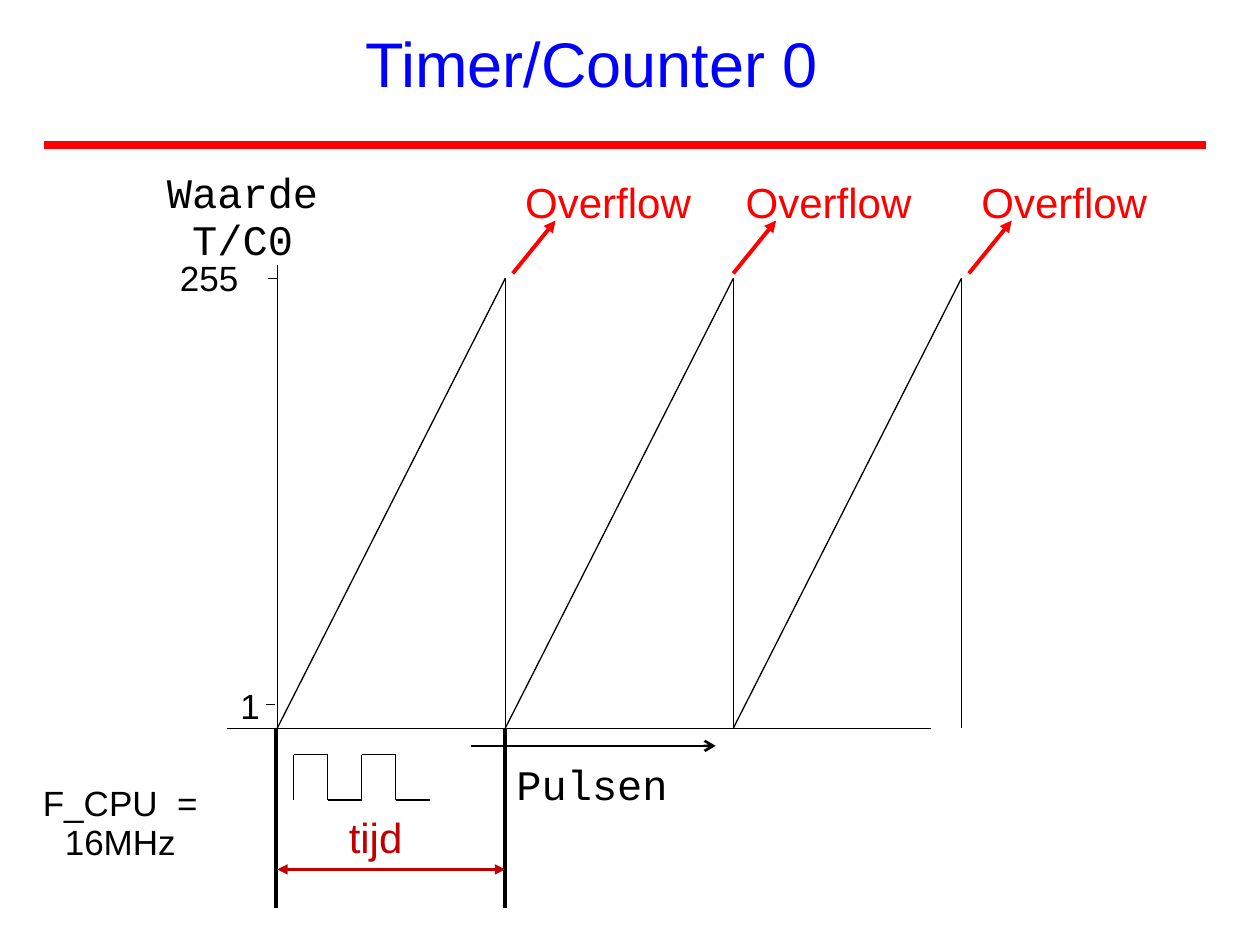
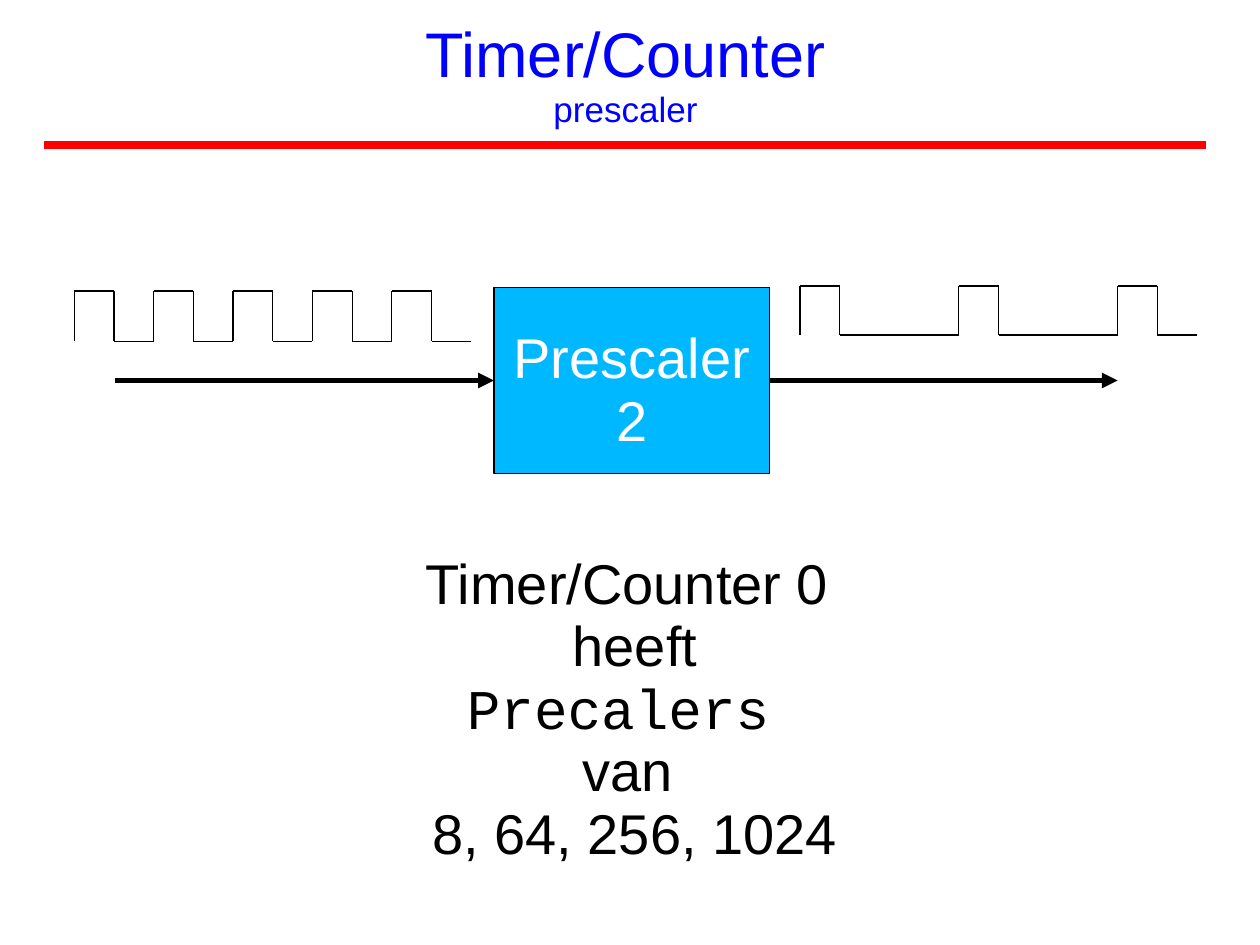
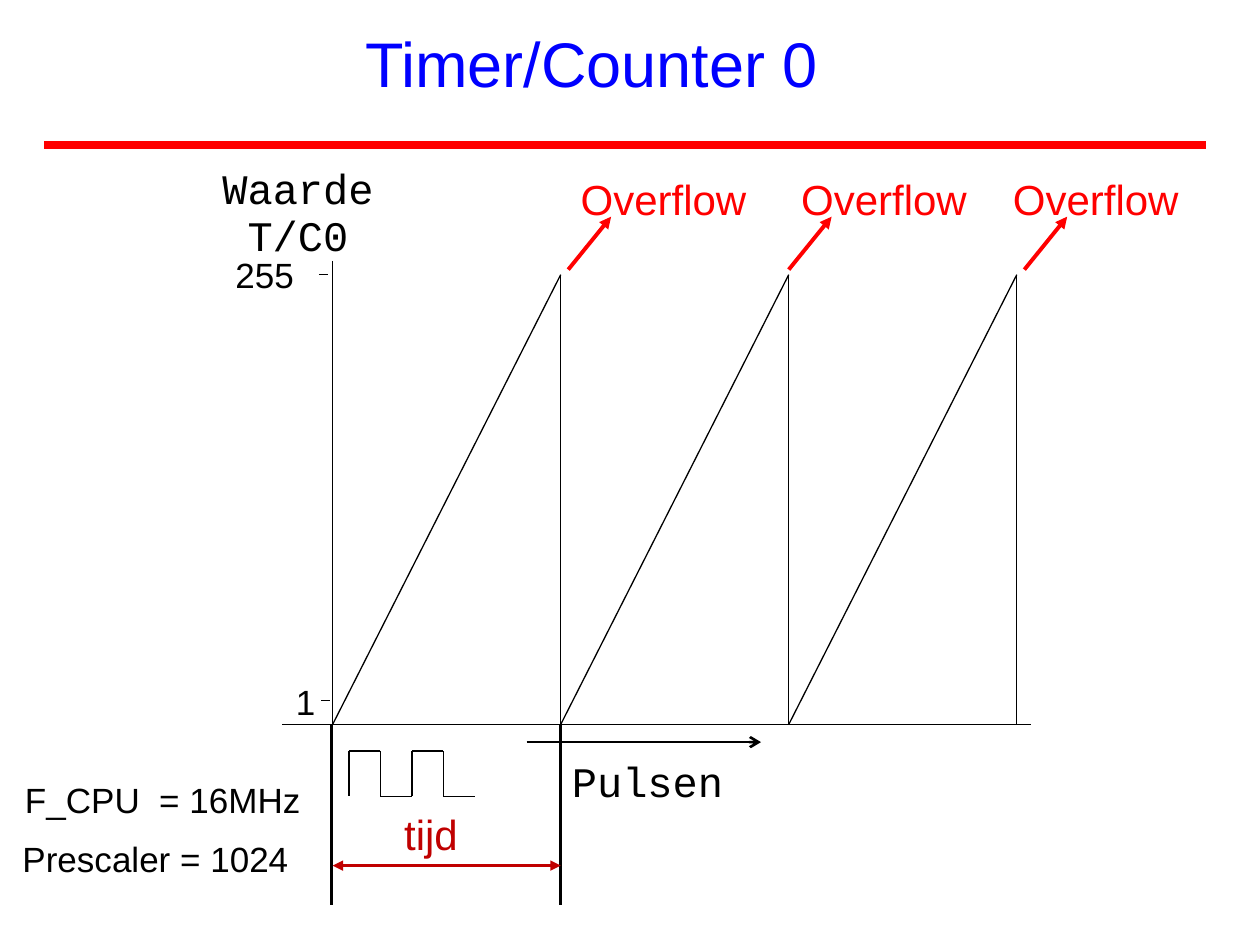
from dataclasses import dataclass

from lxml import etree
from pptx import Presentation
from pptx.dml.color import RGBColor
from pptx.enum.shapes import MSO_CONNECTOR, MSO_SHAPE
from pptx.enum.text import MSO_ANCHOR, MSO_AUTO_SIZE, PP_ALIGN
from pptx.oxml.ns import qn
from pptx.util import Inches, Pt

STRAIGHT = MSO_CONNECTOR.STRAIGHT
RECTANGLE = MSO_SHAPE.RECTANGLE
TOP = MSO_ANCHOR.TOP
NO_FIT, GROW = MSO_AUTO_SIZE.NONE, MSO_AUTO_SIZE.SHAPE_TO_FIT_TEXT
LEFT, CENTER = PP_ALIGN.LEFT, PP_ALIGN.CENTER

COLORS = {
    "text": "000000",
    "title": "0000FF",
    "accent": "FF0000",
    "time": "C00000",
    "block": "00B8FF",
    "light": "FFFFFF",
}
SANS, MONO = "Arial", "Courier New"
TITLE_ONLY = 5
LINE_SPACING = 0.93
PERIOD, RISE = 1.81, 3.57


@dataclass
class SawtoothLayout:
    """The measures in which the sawtooth diagrams differ."""

    left: float
    base: float
    axis_end: float
    tick_start: float
    pulse_width: float
    arrow_end: float
    last_overflow: float


def color(name):
    """Return the named colour."""
    return RGBColor.from_string(COLORS[name])


def add_line(slide, start, end, width=0.75, color_name="text", head=None, tail=None):
    """Draw a straight line with optional arrowheads."""
    points = [Inches(value) for value in (*start, *end)]
    connector = slide.shapes.add_connector(STRAIGHT, *points)
    connector.line.color.rgb = color(color_name)
    connector.line.width = Pt(width)
    outline = connector.line._get_or_add_ln()
    for tag, kind in (("a:headEnd", head), ("a:tailEnd", tail)):
        if kind:
            etree.SubElement(outline, qn(tag), type=kind)
    etree.SubElement(connector._element.spPr, qn("a:effectLst"))


def format_text(text_frame, size, color_name="text", font=SANS, align=LEFT):
    """Apply one style to all the text in a frame."""
    text_frame.word_wrap = True
    text_frame.vertical_anchor = TOP
    for paragraph in text_frame.paragraphs:
        paragraph.alignment = align
        paragraph.line_spacing = LINE_SPACING
        for run in paragraph.runs:
            run.font.size = Pt(size)
            run.font.name = font
            run.font.color.rgb = color(color_name)


def add_text(slide, text, box, size, color_name="text", font=SANS, align=LEFT):
    """Add a text box at left, top, width, height."""
    shape = slide.shapes.add_textbox(*[Inches(value) for value in box])
    text_frame = shape.text_frame
    text_frame.text = text
    format_text(text_frame, size, color_name, font, align)
    text_frame.auto_size = GROW
    return text_frame


def add_titled_slide(presentation, title, top=0.21, height=0.75, align=LEFT):
    """Add a slide with the blue title and the red rule."""
    slide = presentation.slides.add_slide(presentation.slide_layouts[TITLE_ONLY])
    add_line(slide, (0.35, 1.15), (9.57, 1.15), 4.5, "accent")
    shape = slide.shapes.title
    shape.left, shape.top = Inches(2.8), Inches(top)
    shape.width, shape.height = Inches(4.33), Inches(height)
    text_frame = shape.text_frame
    text_frame.text = title
    text_frame.auto_size = NO_FIT
    text_frame.margin_top = Inches(0.04)
    format_text(text_frame, 36, "title", align=align)
    return slide


def add_pulse_train(slide, left, top, height, high, low, count):
    """Draw a square wave whose last low part is as long as a high part."""
    bottom = top + height
    for index in range(count):
        rise = left + index * (high + low)
        fall = rise + high
        end = fall + (low if index < count - 1 else high)
        add_line(slide, (rise, top), (rise, bottom))
        add_line(slide, (rise, top), (fall, top))
        add_line(slide, (fall, top), (fall, bottom))
        add_line(slide, (fall, bottom), (end, bottom))


def add_axes(slide, layout):
    """Draw the axes with their ticks and labels."""
    left, base = layout.left, layout.base
    add_line(slide, (left, base - 3.68), (left, base + 0.21))
    add_line(slide, (left - 0.4, base), (layout.axis_end, base))
    ticks = (
        ("255", -0.87, -3.76, 0.72, layout.tick_start, -RISE),
        ("1", -0.39, -0.37, 0.27, -0.09, -0.19),
    )
    for label, x, y, width, tick, level in ticks:
        add_text(slide, label, (left + x, base + y, width, 0.4), 20)
        add_line(slide, (left + tick, base + level), (left + tick + 0.07, base + level))
    add_text(slide, "Waarde T/C0", (left - 1.06, base - 4.47, 1.57, 0.86),
             24, font=MONO, align=CENTER)
    add_text(slide, "Pulsen", (left + 1.8, base + 0.23, 1.65, 0.45), 24, font=MONO)
    add_line(slide, (left + 1.54, base + 0.14), (layout.arrow_end, base + 0.14),
             1.5, tail="arrow")


def add_ramps(slide, layout):
    """Draw the three ramps and mark their overflows."""
    left, base = layout.left, layout.base
    top = base - RISE
    for index in range(3):
        start = left + index * PERIOD
        end = start + PERIOD
        add_line(slide, (start, base), (end, top))
        add_line(slide, (end, top), (end, base))
    arrows = [left + offset for offset in (1.87, 3.62, 5.49)]
    labels = arrows[:2] + [layout.last_overflow]
    for arrow, label in zip(arrows, labels):
        add_line(slide, (arrow, top - 0.04), (arrow + 0.34, top - 0.46),
                 2.25, "accent", tail="triangle")
        add_text(slide, "Overflow", (label, base - 4.39, 1.68, 0.45), 24, "accent")


def add_time_span(slide, layout):
    """Mark the time of one ramp below the axis."""
    left, base = layout.left, layout.base
    right = left + PERIOD
    for x in (left - 0.01, right):
        add_line(slide, (x, base), (x, base + 1.43), 2)
    add_line(slide, (left, base + 1.12), (right, base + 1.12),
             1.75, "time", "triangle", "triangle")
    add_text(slide, "tijd", (left + 0.47, base + 0.65, 0.86, 0.48), 24, "time")


def add_sawtooth_slide(presentation, layout):
    """Add a slide that shows the counter value over time."""
    slide = add_titled_slide(presentation, "Timer/Counter 0")
    add_axes(slide, layout)
    add_ramps(slide, layout)
    add_pulse_train(slide, layout.left + 0.13, layout.base + 0.21, 0.36,
                    layout.pulse_width, layout.pulse_width, 2)
    add_time_span(slide, layout)
    return slide


def add_prescaler_block(slide, left, top, width, height):
    """Draw the prescaler with its input and output arrows."""
    block = slide.shapes.add_shape(
        RECTANGLE, Inches(left), Inches(top), Inches(width), Inches(height))
    block.shadow.inherit = False
    block.fill.solid()
    block.fill.fore_color.rgb = color("block")
    block.line.color.rgb = color("text")
    block.line.width = Pt(0.75)
    block.text_frame.text = "Prescaler\n2"
    block.text_frame.margin_top = Inches(0.33)
    format_text(block.text_frame, 32, "light", align=CENTER)
    middle = top + height / 2
    right = left + width
    for start, end in ((left - 3.01, left), (right, right + 2.76)):
        add_line(slide, (start, middle), (end, middle), 3, tail="triangle")


def add_prescaler_slide(presentation):
    """Add the slide that explains the prescaler."""
    slide = add_titled_slide(
        presentation, "Timer/Counter\vprescaler", 0.13, 1.26, CENTER)
    slide.shapes.title.text_frame.paragraphs[0].runs[1].font.size = Pt(20)
    add_prescaler_block(slide, 3.92, 2.28, 2.19, 1.48)
    pulse = 0.315
    add_pulse_train(slide, 0.59, 2.31, 0.4, pulse, pulse, 5)
    add_pulse_train(slide, 6.35, 2.27, 0.39, pulse, 3 * pulse, 3)
    lines = ("Timer/Counter 0 ", "heeft", "Precalers ", "van ", "8, 64, 256, 1024")
    text_frame = add_text(
        slide, "\n".join(lines), (1.22, 4.35, 7.64, 2.89), 32, align=CENTER)
    text_frame.paragraphs[2].runs[0].font.name = MONO


def main():
    """Build the presentation."""
    presentation = Presentation()
    presentation.slide_width, presentation.slide_height = Inches(10), Inches(7.5)

    slide = add_sawtooth_slide(
        presentation, SawtoothLayout(2.2, 5.78, 7.39, -0.07, 0.27, 5.68, 7.69))
    add_text(slide, "F_CPU  =\n16MHz", (-0.08, 6.18, 2.07, 0.73), 20, align=CENTER)

    add_prescaler_slide(presentation)

    slide = add_sawtooth_slide(
        presentation, SawtoothLayout(2.64, 5.75, 8.18, -0.11, 0.25, 6.04, 7.94))
    add_text(slide, "Prescaler = 1024", (0.08, 6.63, 2.4, 0.41), 20)
    add_text(slide, "F_CPU  = 16MHz", (0.1, 6.16, 2.4, 0.41), 20)

    presentation.save("out.pptx")


if __name__ == "__main__":
    main()
